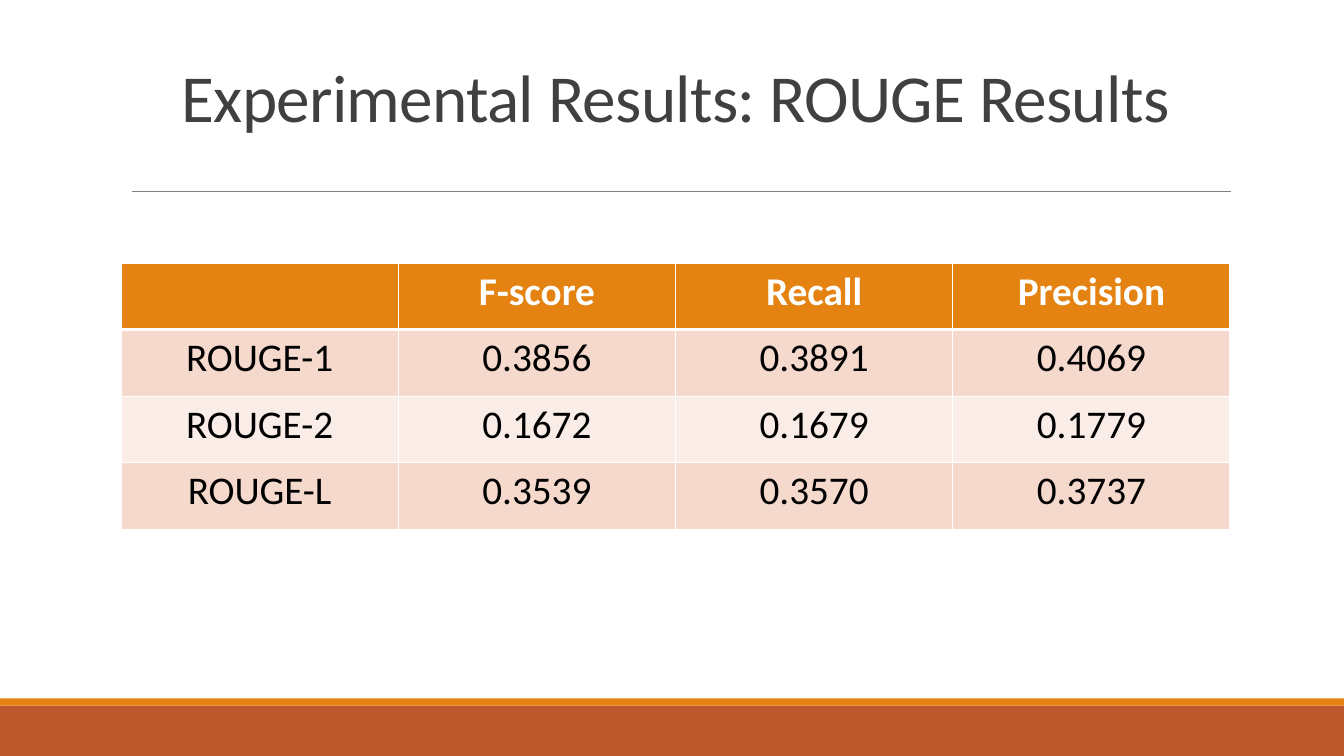
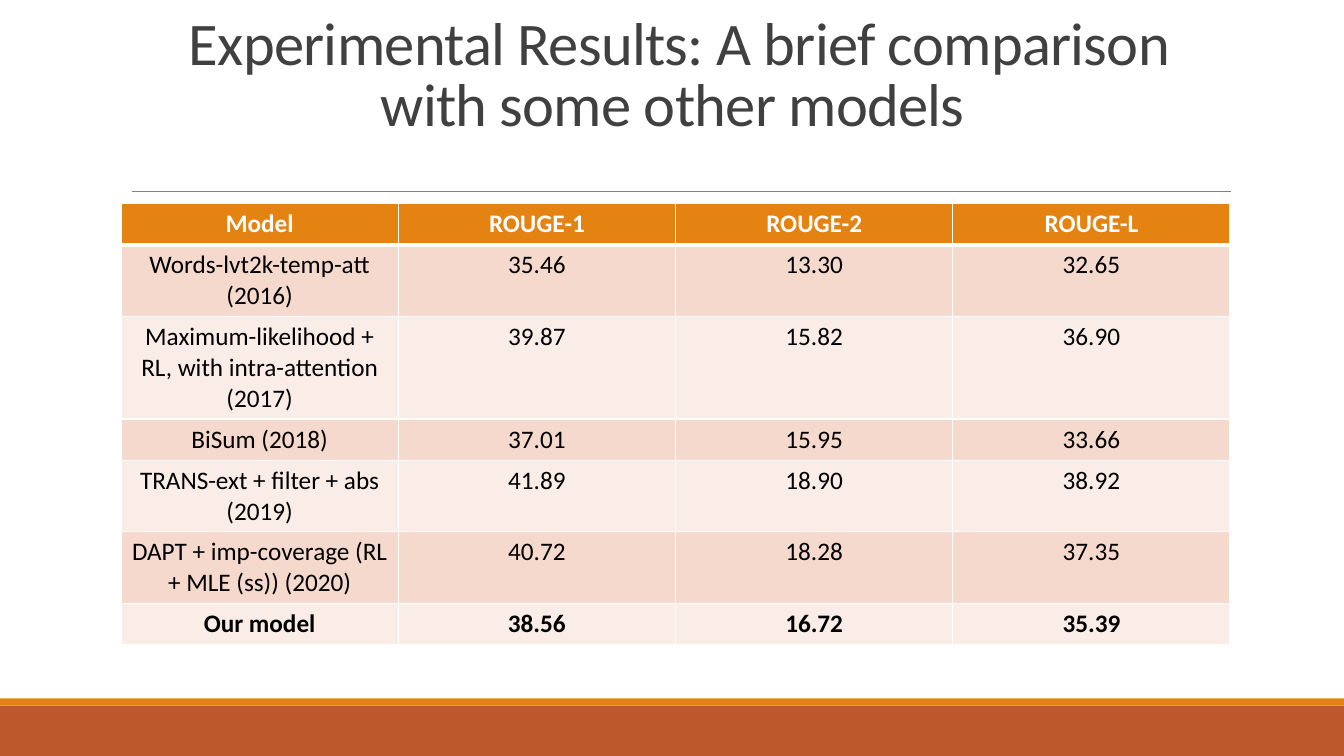
"""Build two slides of ROUGE results, each a titled table over a footer band."""
from lxml.etree import SubElement
from pptx import Presentation
from pptx.dml.color import RGBColor
from pptx.enum.shapes import MSO_CONNECTOR, MSO_SHAPE
from pptx.enum.text import MSO_ANCHOR, MSO_AUTO_SIZE, PP_ALIGN
from pptx.oxml import parse_xml
from pptx.oxml.ns import nsdecls, qn
from pptx.util import Inches, Pt

FONT = "Calibri"
COLORS = {
    "band": "BD582C",
    "accent": "E48312",
    "rule": "808080",
    "title": "404040",
    "odd": "F5D9CC",
    "even": "FAEDE7",
    "text": "000000",
    "white": "FFFFFF",
}
SLIDES = [
    {
        "title": "Experimental Results: ROUGE Results",
        "title_box": (1.2, 0.31, 11, 1.09),
        "title_size": 48,
        "table_top": 2.61,
        "row_height": 0.66,
        "text_size": 28,
        "bold_rows": {0},
        "rows": [
            ["", "F-score", "Recall", "Precision"],
            ["ROUGE-1", "0.3856", "0.3891", "0.4069"],
            ["ROUGE-2", "0.1672", "0.1679", "0.1779"],
            ["ROUGE-L", "0.3539", "0.3570", "0.3737"],
        ],
    },
    {
        "title": " Experimental Results: A brief comparison with some other models",
        "title_box": (1.17, 0.56, 11, 0.87),
        "title_size": 43.2,
        "table_top": 2.02,
        "row_height": 0.41,
        "text_size": 18,
        "bold_rows": {0, 6},
        "rows": [
            ["Model", "ROUGE-1", "ROUGE-2", "ROUGE-L"],
            ["Words-lvt2k-temp-att (2016)", "35.46", "13.30", "32.65"],
            ["Maximum-likelihood + RL, with intra-attention (2017)",
             "39.87", "15.82", "36.90"],
            ["BiSum (2018)", "37.01", "15.95", "33.66"],
            ["TRANS-ext + filter + abs (2019)", "41.89", "18.90", "38.92"],
            ["DAPT + imp-coverage (RL + MLE (ss)) (2020)",
             "40.72", "18.28", "37.35"],
            ["Our model", "38.56", "16.72", "35.39"],
        ],
    },
]


def add_text(tf, text, size, color, bold=False):
    """Write one centred run and return it with its paragraph."""
    p = tf.paragraphs[0]
    p.alignment = PP_ALIGN.CENTER
    r = p.add_run()
    r.text = text
    r.font.name = FONT
    r.font.size = Pt(size)
    r.font.bold = bold
    r.font.color.rgb = RGBColor.from_string(COLORS[color])
    return p, r


def set_borders(cell, top, bottom):
    """Give a cell white borders, with top and bottom widths in points."""
    widths = {"lnL": 1, "lnR": 1, "lnT": top, "lnB": bottom}
    for i, (side, width) in enumerate(widths.items()):
        cell._tc.get_or_add_tcPr().insert(i, parse_xml(
            f'<a:{side} {nsdecls("a")} w="{Pt(width)}"><a:solidFill>'
            f'<a:srgbClr val="{COLORS["white"]}"/></a:solidFill></a:{side}>'))


prs = Presentation()
prs.slide_width, prs.slide_height = Inches(13.33), Inches(7.5)

for data in SLIDES:
    s = prs.slides.add_slide(prs.slide_layouts[5])

    for top, height, color in [(7, 0.5, "band"), (6.93, 0.07, "accent")]:
        sp = s.shapes.add_shape(MSO_SHAPE.RECTANGLE, 0, Inches(top),
                                prs.slide_width, Inches(height))
        sp.shadow.inherit = False
        sp.fill.solid()
        sp.fill.fore_color.rgb = RGBColor.from_string(COLORS[color])
        sp.line.fill.background()

    rule = s.shapes.add_connector(MSO_CONNECTOR.STRAIGHT, Inches(1.31),
                                  Inches(1.9), Inches(12.21), Inches(1.9))
    rule.line.color.rgb = RGBColor.from_string(COLORS["rule"])
    rule.line.width = Pt(0.5)
    SubElement(rule._element.spPr, qn("a:effectLst"))

    title = s.shapes.title
    title.left, title.top, title.width, title.height = map(Inches, data["title_box"])
    tf = title.text_frame
    tf.word_wrap = True
    tf.auto_size = MSO_AUTO_SIZE.NONE
    tf.vertical_anchor = MSO_ANCHOR.BOTTOM
    p, r = add_text(tf, data["title"], data["title_size"], "title")
    p.line_spacing = 0.85
    r.font._element.set("spc", "-50")

    rows = data["rows"]
    table = s.shapes.add_table(
        len(rows), len(rows[0]), Inches(1.2), Inches(data["table_top"]),
        Inches(11), Inches(data["row_height"] * len(rows))).table
    for i, row in enumerate(rows):
        fill = "accent" if i == 0 else "odd" if i % 2 else "even"
        for j, text in enumerate(row):
            cell = table.cell(i, j)
            cell.fill.solid()
            cell.fill.fore_color.rgb = RGBColor.from_string(COLORS[fill])
            set_borders(cell, 3 if i == 1 else 1, 3 if i == 0 else 1)
            if text:
                add_text(cell.text_frame, text, data["text_size"],
                         "text" if i else "white", i in data["bold_rows"])

prs.save("out.pptx")
